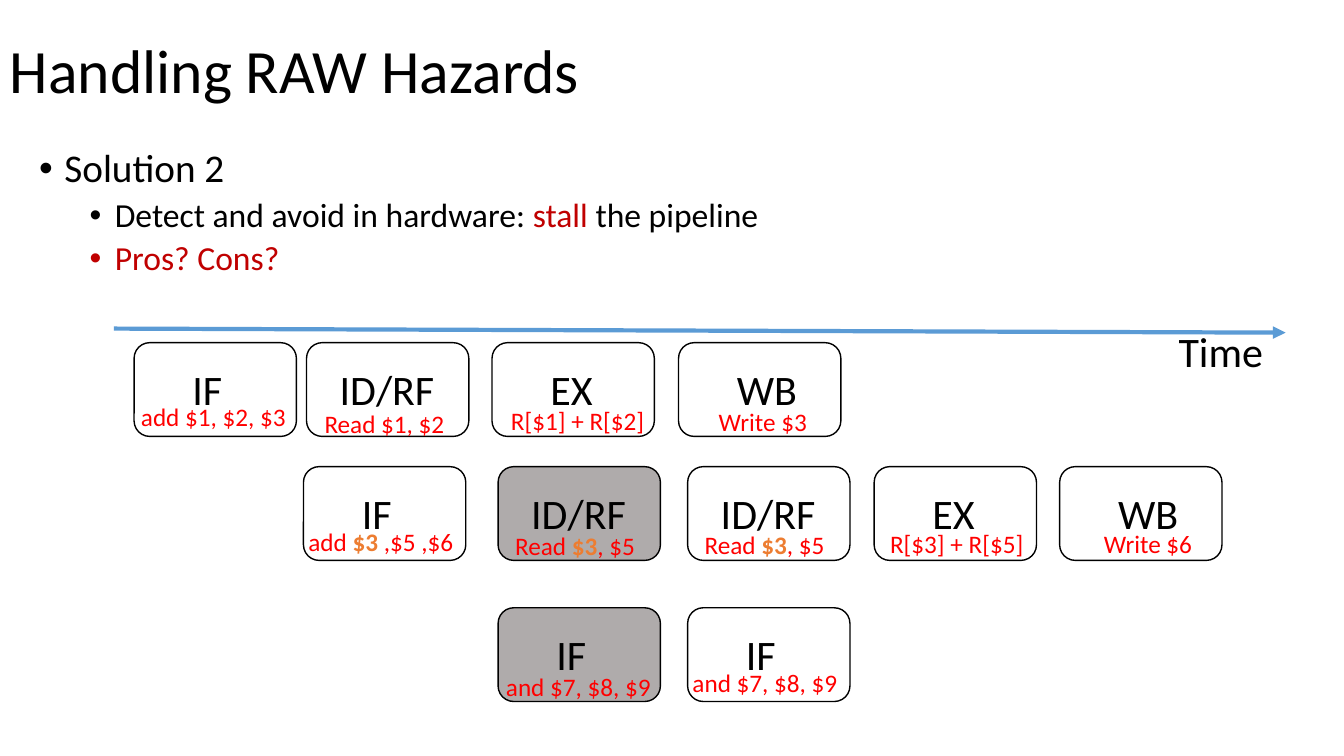
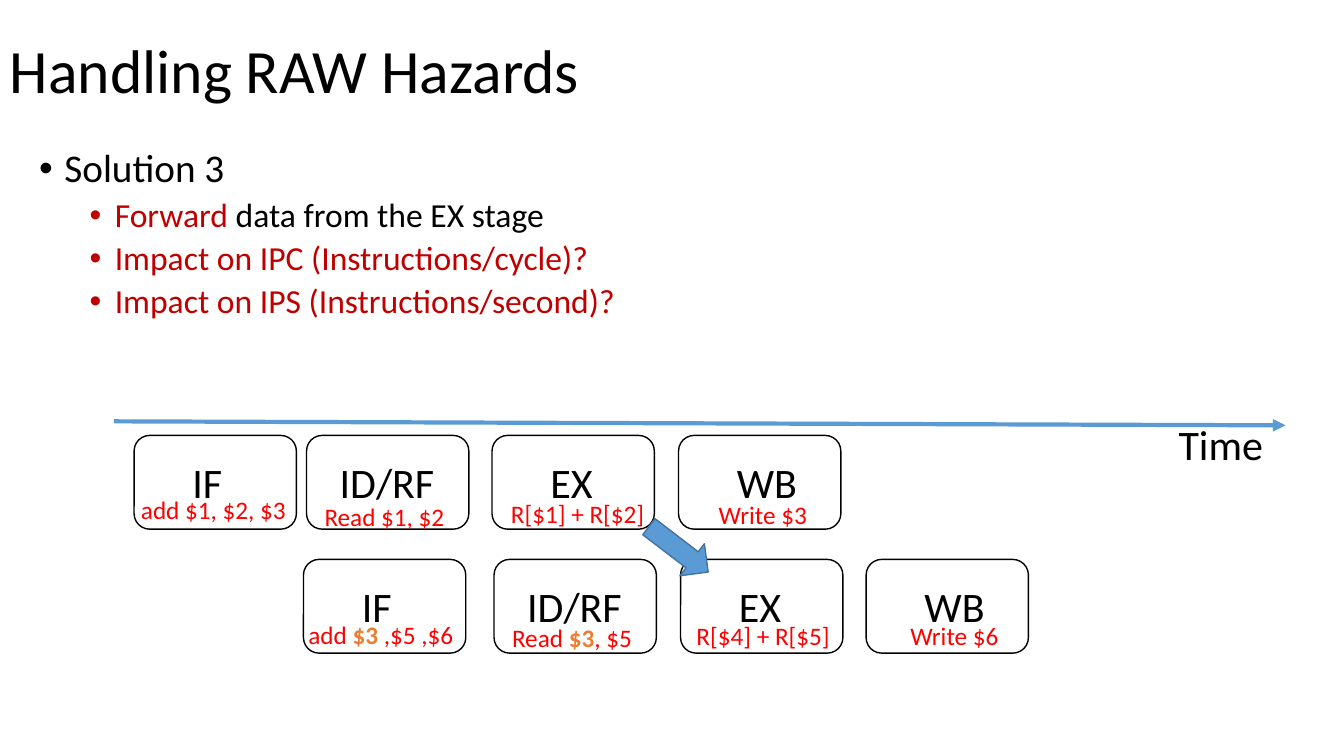
from dataclasses import dataclass
from typing import NamedTuple

from lxml.etree import SubElement
from pptx import Presentation
from pptx.dml.color import RGBColor
from pptx.enum.shapes import MSO_CONNECTOR as Connector, MSO_SHAPE as Preset
from pptx.enum.text import MSO_ANCHOR as Anchor, MSO_AUTO_SIZE as AutoSize
from pptx.oxml.ns import qn
from pptx.slide import Slide
from pptx.util import Inches, Pt

FONT = "Calibri"
COLORS = {
    "black": "000000",
    "emphasis": "C00000",
    "note": "FF0000",
    "register": "ED7D31",
    "stalled": "AFABAB",
    "arrow": "5B9BD5",
    "arrow_edge": "43739E",
}
STAGE_WIDTH, STAGE_HEIGHT = 1.61, 0.93
ROW_OFFSETS = (0.14, 1.37, 2.77)
LABELS = {
    "IF": (0.48, 0.5),
    "ID/RF": (0.23, 1.15),
    "EX": (0.48, 0.63),
    "WB": (0.48, 0.81),
}
NOTE_WIDTHS = {"IF": 1.66, "ID/RF": 1.41, "EX": 1.54, "WB": 1.09}


class Piece(NamedTuple):
    text: str
    color: str = "black"
    bold: bool = False


class Line(NamedTuple):
    pieces: tuple[Piece, ...]
    level: int | None = None


class Box(NamedTuple):
    left: float
    top: float
    width: float
    height: float

    def lengths(self) -> tuple[Inches, ...]:
        return tuple(Inches(value) for value in self)


@dataclass(frozen=True)
class Stage:
    name: str
    row: int
    left: float
    note: tuple[Piece, ...]
    note_x: float
    note_y: float
    stalled: bool = False


@dataclass(frozen=True)
class PipelineSlide:
    bullets: tuple[Line, ...]
    timeline_top: float
    stages: tuple[Stage, ...]
    forwarding: Box | None = None


def color(name: str) -> RGBColor:
    return RGBColor.from_string(COLORS[name])


def red(text: str) -> tuple[Piece, ...]:
    return (Piece(text, "note"),)


def dependent(before: str, register: str, after: str) -> tuple[Piece, ...]:
    return (Piece(before, "note"), Piece(register, "register", True), Piece(after, "note"))


def bullet(*pieces: Piece, level: int = 1) -> Line:
    return Line(pieces, level)


def add_text(slide: Slide, box: Box, lines: tuple[Line, ...], *, sizes: tuple[int, ...],
             wrap: bool = False, spacing: float | None = None,
             anchor: Anchor = Anchor.TOP) -> None:
    frame = slide.shapes.add_textbox(*box.lengths()).text_frame
    frame.word_wrap = wrap
    frame.auto_size = AutoSize.NONE if wrap else AutoSize.SHAPE_TO_FIT_TEXT
    frame.vertical_anchor = anchor
    for index, line in enumerate(lines):
        paragraph = frame.add_paragraph() if index else frame.paragraphs[0]
        paragraph.line_spacing = spacing
        if index:
            paragraph.space_before = Pt(5)
        if line.level is not None:
            paragraph.level = line.level
            properties = paragraph._p.get_or_add_pPr()
            properties.set("marL", str(Inches(0.25 + 0.5 * line.level)))
            properties.set("indent", str(Inches(-0.25)))
            SubElement(properties, qn("a:buFont"), typeface="Arial")
            SubElement(properties, qn("a:buChar"), char="•")
        for piece in line.pieces:
            run = paragraph.add_run()
            run.text = piece.text
            run.font.name = FONT
            run.font.size = Pt(sizes[line.level or 0])
            run.font.bold = piece.bold
            run.font.color.rgb = color(piece.color)


def add_preset(slide: Slide, preset: Preset, box: Box, *, line: str,
               fill: str | None = None, rotation: float = 0) -> None:
    shape = slide.shapes.add_shape(preset, *box.lengths())
    shape.shadow.inherit = False
    shape.rotation = rotation
    shape.line.color.rgb = color(line)
    shape.line.width = Pt(1)
    if fill:
        shape.fill.solid()
        shape.fill.fore_color.rgb = color(fill)
    else:
        shape.fill.background()


def add_timeline(slide: Slide, top: float) -> None:
    connector = slide.shapes.add_connector(
        Connector.STRAIGHT, Inches(1.13), Inches(top), Inches(12.75), Inches(top + 0.04))
    connector.line.color.rgb = color("arrow")
    connector.line.width = Pt(3)
    SubElement(connector.line._get_or_add_ln(), qn("a:tailEnd"), type="triangle")
    SubElement(connector._element.spPr, qn("a:effectLst"))
    add_text(slide, Box(11.59, top - 0.08, 1.05, 0.61), (Line((Piece("Time"),)),), sizes=(30,))


def add_stage(slide: Slide, stage: Stage, timeline_top: float) -> None:
    top = timeline_top + ROW_OFFSETS[stage.row]
    add_preset(slide, Preset.ROUNDED_RECTANGLE,
               Box(stage.left, top, STAGE_WIDTH, STAGE_HEIGHT),
               line="black", fill="stalled" if stage.stalled else None)
    label_x, label_width = LABELS[stage.name]
    add_text(slide, Box(stage.left + label_x, top + 0.16, label_width, 0.61),
             (Line((Piece(stage.name),)),), sizes=(30,))
    add_text(slide, Box(stage.left + stage.note_x, top + stage.note_y,
                        NOTE_WIDTHS[stage.name], 0.4),
             (Line(stage.note),), sizes=(18,))


def add_pipeline_slide(presentation: Presentation, content: PipelineSlide) -> None:
    slide = presentation.slides.add_slide(presentation.slide_layouts[6])
    add_text(slide, Box(0, 0, 11.5, 1.45), (Line((Piece("Handling RAW Hazards"),)),),
             sizes=(44,), wrap=True, spacing=0.9, anchor=Anchor.MIDDLE)
    add_text(slide, Box(0.29, 1.43, 12.02, 4.76), content.bullets,
             sizes=(28, 24), wrap=True, spacing=0.9)
    add_timeline(slide, content.timeline_top)
    for stage in content.stages:
        add_stage(slide, stage, content.timeline_top)
    if content.forwarding:
        add_preset(slide, Preset.DOWN_ARROW, content.forwarding,
                   line="arrow_edge", fill="arrow", rotation=307.4)


PRODUCER = (
    Stage("IF", 0, 1.33, red("add $1, $2, $3"), -0.03, 0.53),
    Stage("ID/RF", 0, 3.04, red("Read $1, $2"), 0.08, 0.6),
    Stage("EX", 0, 4.88, red("R[$1] + R[$2]"), 0.09, 0.57),
    Stage("WB", 0, 6.73, red("Write $3"), 0.3, 0.58),
)
CONSUMER_FETCH = Stage("IF", 1, 3.01, dependent("add ", "$3 ", ",$5 ,$6"), -0.05, 0.54)
CONSUMER_READ = dependent("Read ", "$3", ", $5")
FOLLOWER = red("and $7, $8, $9")

SLIDES = (
    PipelineSlide(
        bullets=(
            bullet(Piece("Solution 2"), level=0),
            bullet(Piece("Detect and avoid in hardware: "), Piece("stall", "emphasis"),
                   Piece(" the pipeline")),
            bullet(Piece("Pros? Cons?", "emphasis")),
        ),
        timeline_top=3.26,
        stages=PRODUCER + (
            CONSUMER_FETCH,
            Stage("ID/RF", 1, 4.94, CONSUMER_READ, 0.07, 0.58, stalled=True),
            Stage("ID/RF", 1, 6.82, CONSUMER_READ, 0.07, 0.57),
            Stage("EX", 1, 8.67, red("R[$3] + R[$5]"), 0.06, 0.56),
            Stage("WB", 1, 10.51, red("Write $6"), 0.34, 0.56),
            Stage("IF", 2, 4.94, FOLLOWER, -0.02, 0.58, stalled=True),
            Stage("IF", 2, 6.82, FOLLOWER, -0.05, 0.54),
        ),
    ),
    PipelineSlide(
        bullets=(
            bullet(Piece("Solution 3"), level=0),
            bullet(Piece("Forward", "emphasis"), Piece(" data from the EX stage")),
            bullet(Piece("Impact on IPC (Instructions/cycle)?", "emphasis")),
            bullet(Piece("Impact on IPS (Instructions/second)?", "emphasis")),
        ),
        timeline_top=4.18,
        stages=PRODUCER + (
            CONSUMER_FETCH,
            Stage("ID/RF", 1, 4.9, CONSUMER_READ, 0.08, 0.57),
            Stage("EX", 1, 6.75, red("R[$4] + R[$5]"), 0.06, 0.56),
            Stage("WB", 1, 8.59, red("Write $6"), 0.34, 0.56),
        ),
        forwarding=Box(6.53, 5.08, 0.4, 0.74),
    ),
)


def main() -> None:
    presentation = Presentation()
    presentation.slide_width = Inches(13.33)
    presentation.slide_height = Inches(7.5)
    for content in SLIDES:
        add_pipeline_slide(presentation, content)
    presentation.save("out.pptx")


if __name__ == "__main__":
    main()
